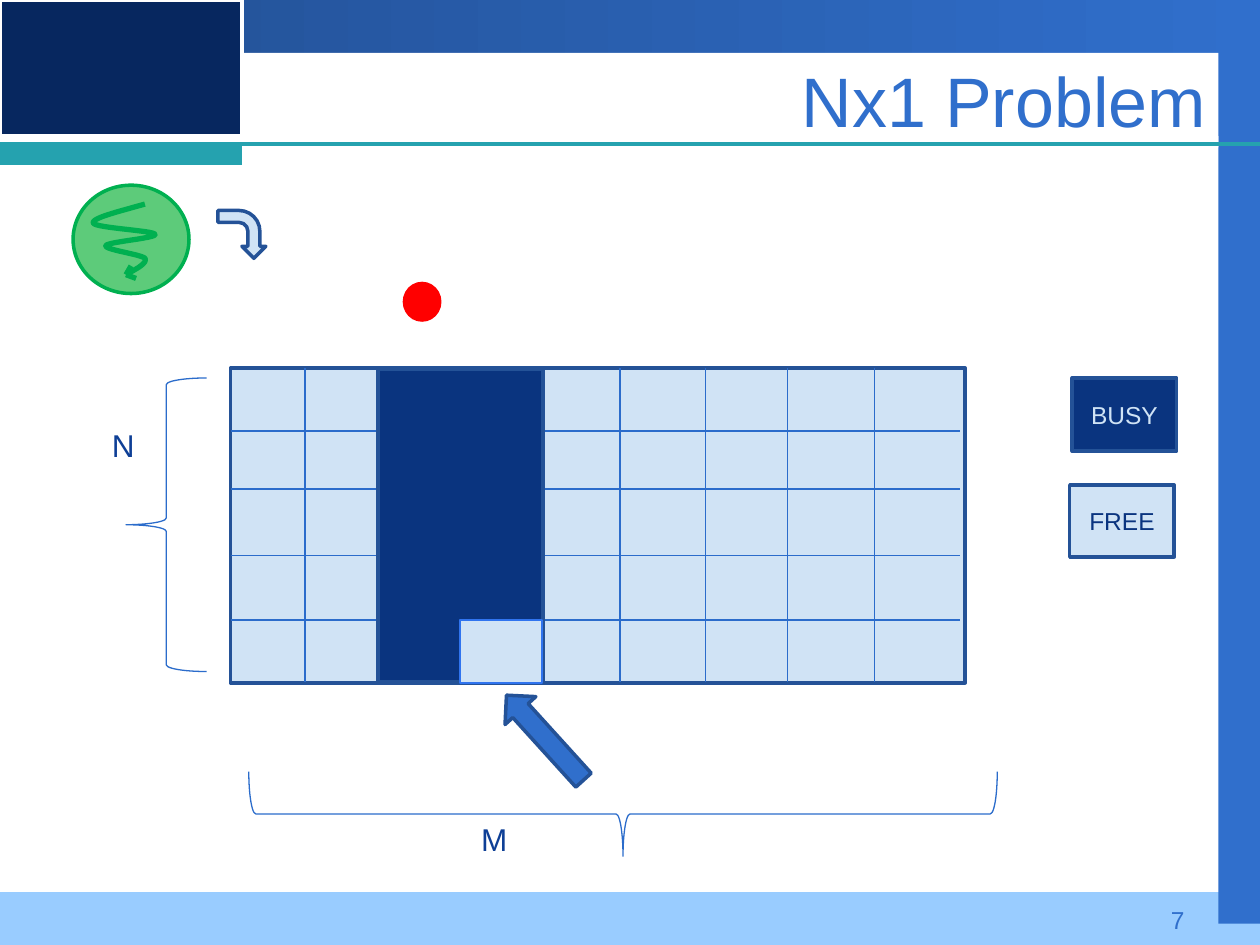
from lxml import etree
from pptx import Presentation
from pptx import util as u
from pptx.dml.color import RGBColor
from pptx.enum import shapes, text
from pptx.oxml.ns import qn

COLORS = {
    "blue": "306FCC", "deep": "224F92", "sky": "99CCFF", "white": "FFFFFF",
    "teal": "25A2AF", "logo": "07275F", "outline": "245297", "grid": "2B6CCB",
    "label": "0E3F96", "busy": "0A347F", "free": "D0E3F5", "edge": "3074EF",
    "green": "5DCB7A", "thread": "00B050", "red": "FF0000",
}
SHAPE = shapes.MSO_SHAPE
ALIGN = text.PP_ALIGN
MIDDLE = text.MSO_ANCHOR.MIDDLE


def color(name):
    return RGBColor.from_string(COLORS[name])


def write(shape, words, size=18, ink="label", align=ALIGN.LEFT, anchor=text.MSO_ANCHOR.TOP):
    frame = shape.text_frame
    frame.word_wrap = True
    frame.vertical_anchor = anchor
    paragraph = frame.paragraphs[0]
    paragraph.text = words
    paragraph.alignment = align
    paragraph.font.name = "Arial"
    paragraph.font.size = u.Pt(size)
    paragraph.font.color.rgb = color(ink)


def curve_points(start, segments, steps=16):
    """Sample a chain of cubic Bezier segments as points in inches."""
    points = [start]
    for first, second, end in segments:
        for step in range(1, steps + 1):
            t = step / steps
            weights = ((1 - t) ** 3, 3 * t * (1 - t) ** 2, 3 * t * t * (1 - t), t ** 3)
            points.append(tuple(
                sum(w * p[axis] for w, p in zip(weights, (start, first, second, end)))
                for axis in (0, 1)))
        start = end
    return points


class Painter:
    def __init__(self, slide):
        self.slide = slide

    def paint(self, shape, fill, line, width):
        shape.shadow.inherit = False
        if fill:
            shape.fill.solid()
            shape.fill.fore_color.rgb = color(fill)
        else:
            shape.fill.background()
        if line:
            shape.line.color.rgb = color(line)
            shape.line.width = u.Pt(width)
        else:
            shape.line.fill.background()

    def shape(self, box, kind=SHAPE.RECTANGLE, fill=None, line=None, width=2, turn=0):
        shape = self.slide.shapes.add_shape(kind, *map(u.Inches, box))
        self.paint(shape, fill, line, width)
        shape.rotation = turn
        return shape

    def gradient(self, box, start, end):
        shape = self.shape(box)
        shape.fill.gradient()
        shape.fill.gradient_angle = 0
        for stop, name, position in zip(shape.fill.gradient_stops, (start, end), (0, 1)):
            stop.color.rgb = color(name)
            stop.position = position

    def line(self, start, end, ink="grid", width=0.75):
        connector = self.slide.shapes.add_connector(
            shapes.MSO_CONNECTOR.STRAIGHT, *map(u.Inches, (*start, *end)))
        connector.line.color.rgb = color(ink)
        connector.line.width = u.Pt(width)
        etree.SubElement(connector._element.spPr, qn("a:effectLst"))

    def curve(self, points, fill, line, width):
        points = [tuple(map(u.Inches, point)) for point in points]
        builder = self.slide.shapes.build_freeform(*points[0])
        builder.add_line_segments(points[1:], close=False)
        self.paint(builder.convert_to_shape(), fill, line, width)

    def label(self, box, words, **style):
        write(self.slide.shapes.add_textbox(*map(u.Inches, box)), words, **style)

    def title(self, box, words, **style):
        title = self.slide.shapes.title
        title.left, title.top, title.width, title.height = map(u.Inches, box)
        write(title, words, **style)
        self.slide.shapes._spTree.append(title._element)  # above the backdrop


def draw_backdrop(painter):
    painter.gradient((0, 0, 10, 1.08), "deep", "blue")
    painter.shape((0, 7.08, 10, 0.42), fill="sky")
    painter.shape((9.67, 0.25, 0.33, 7.08), fill="blue")
    painter.shape((1.92, 0.42, 7.75, 0.75), fill="white")
    painter.line((0, 1.14), (10, 1.14), "teal", 2.25)
    painter.shape((0, 1.14, 1.92, 0.17), fill="teal")
    painter.shape((0, 0, 1.92, 1.08), fill="logo", line="white")


def draw_thread(painter):
    painter.shape((0.58, 1.47, 0.92, 0.86), SHAPE.OVAL, "green", "thread")
    tip = (1, 2.18)
    squiggle = curve_points((1.15, 1.62), [
        ((0.94, 1.68), (0.73, 1.73), (0.74, 1.77)),
        ((0.75, 1.81), (1.22, 1.83), (1.23, 1.86)),
        ((1.25, 1.89), (0.85, 1.92), (0.84, 1.95)),
        ((0.82, 1.98), (1.12, 2.02), (1.15, 2.05)),
        ((1.17, 2.09), (1.09, 2.13), tip),
    ])
    painter.curve(squiggle, "green", "thread", 3)
    for barb in ((1.04, 2.11), (1.08, 2.21)):
        painter.line(tip, barb, "thread", 3)
    painter.shape((1.73, 1.67, 0.38, 0.38), SHAPE.BENT_ARROW, "free", "outline", turn=90)


def draw_grid(painter):
    left, top, bottom = 1.83, 2.92, 5.42
    painter.shape((left, top, 5.83, bottom - top), fill="free", line="outline")
    for x in (2.42, 3, 3.65, 4.3, 4.92, 5.6, 6.25, 6.94):
        painter.line((x, top), (x, bottom - 0.01))
    for y in (3.42, 3.88, 4.41, 4.92):
        painter.line((left, y), (7.62, y))
    painter.shape((3, 2.93, 1.31, 2.48), fill="busy", line="outline")
    painter.shape((3.65, 4.92, 0.65, 0.5), fill="free", line="edge", width=1)


def main():
    presentation = Presentation()
    presentation.slide_width = u.Inches(10)
    presentation.slide_height = u.Inches(7.5)
    slide = presentation.slides.add_slide(presentation.slide_layouts[5])
    painter = Painter(slide)

    # Backdrop and title
    draw_backdrop(painter)
    painter.title((1.25, 0.25, 8.42, 1.08), "Nx1 Problem",
                  size=40, ink="blue", align=ALIGN.RIGHT, anchor=MIDDLE)

    # Thread entering the machine
    draw_thread(painter)

    # Dimensions N and M
    painter.shape((1, 3, 0.64, 2.33), SHAPE.LEFT_BRACE, line="grid", width=0.75)
    painter.label((0.79, 3.33, 0.85, 0.4), "N")
    painter.shape((4.61, 3.49, 0.67, 5.94), SHAPE.LEFT_BRACE, line="grid", width=0.75, turn=270)
    painter.label((3.72, 6.46, 1.21, 0.4), "M")

    # Legend
    for words, box, fill, ink in (("FREE", (8.49, 3.85, 0.83, 0.57), "free", "busy"),
                                  ("BUSY", (8.51, 3, 0.83, 0.58), "busy", "free")):
        key = painter.shape(box, fill=fill, line="outline")
        write(key, words, size=14, ink=ink, align=ALIGN.CENTER, anchor=MIDDLE)

    # Processor grid with its markers
    draw_grid(painter)
    painter.shape((3.87, 5.69, 0.91, 0.33), SHAPE.LEFT_ARROW, "blue", "outline", turn=47.8)
    painter.shape((3.21, 2.25, 0.28, 0.29), SHAPE.OVAL, "red", "red")

    # Page number
    painter.label((7.17, 7.13, 2.33, 0.27), "7", size=14, ink="blue", align=ALIGN.RIGHT)

    presentation.save("out.pptx")


if __name__ == "__main__":
    main()
